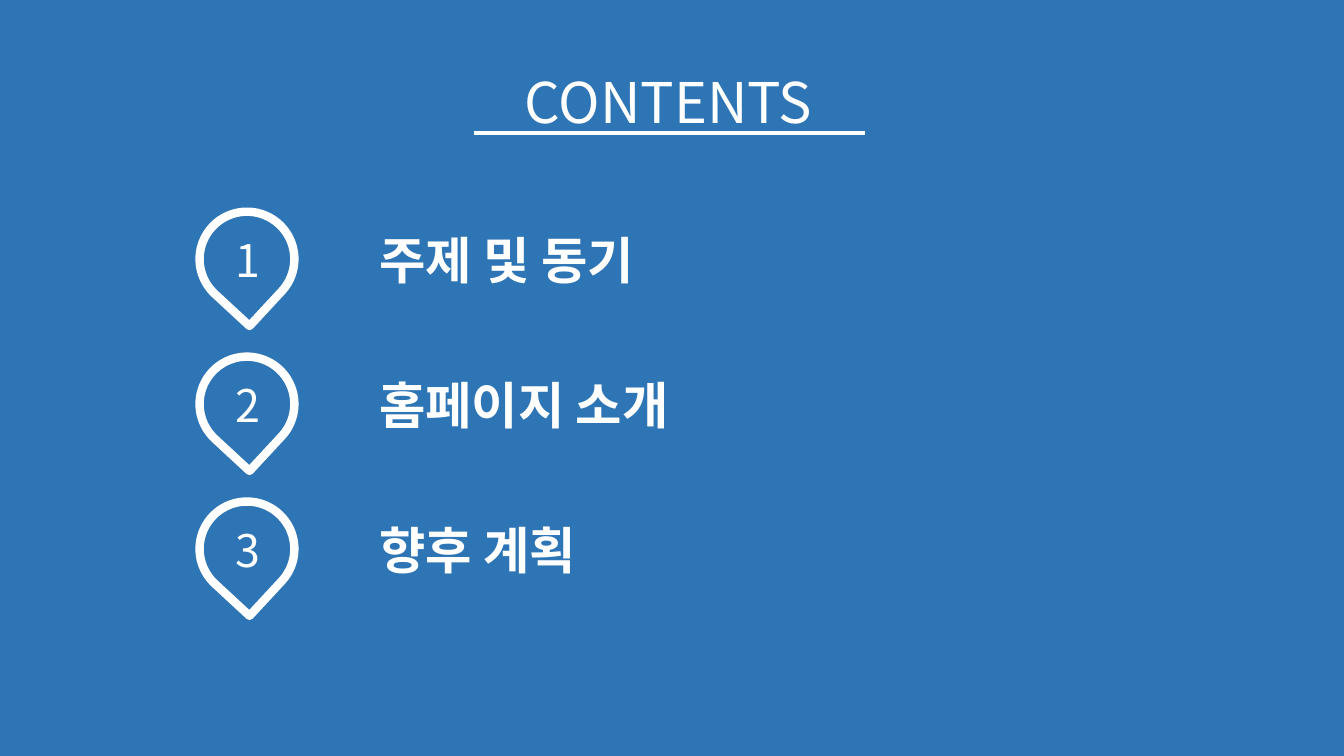
from lxml.etree import SubElement
from pptx import Presentation
from pptx.dml.color import RGBColor
from pptx.enum.shapes import MSO_CONNECTOR as Connector, MSO_SHAPE as Shape
from pptx.enum.text import MSO_ANCHOR as Anchor, MSO_AUTO_SIZE as AutoSize, PP_ALIGN as Align
from pptx.oxml.ns import qn
from pptx.util import Inches, Pt

BLUE = RGBColor(0x2E, 0x75, 0xB6)
WHITE = RGBColor(0xFF, 0xFF, 0xFF)
KOREAN_FONT = "Noto Sans CJK KR"

TOPICS = ["주제 및 동기", "홈페이지 소개", "향후 계획"]
TOPIC_PITCH = 19.17  # rows from one topic to the next


class ContentsSlide:
    """Style and current slide; all lengths are on a grid of 100 columns by 100 rows."""

    title_format = {"size": Pt(40), "name": KOREAN_FONT, "bold": False}
    number_format = {"size": Pt(32), "name": KOREAN_FONT, "bold": False}
    topic_format = {"size": Pt(36), "name": "Arial", "bold": True}
    frame_format = {
        "word_wrap": True, "auto_size": AutoSize.NONE, "vertical_anchor": Anchor.MIDDLE,
        "margin_top": 0, "margin_bottom": 0,
    }

    def __init__(self, deck):
        self.column = deck.slide_width / 100
        self.row = deck.slide_height / 100
        comparison_layout = deck.slide_layouts[4]
        self.slide = deck.slides.add_slide(comparison_layout)
        self.slide.background.fill.solid()
        self.slide.background.fill.fore_color.rgb = BLUE
        self.bodies = [body for body in self.slide.placeholders
                       if body.placeholder_format.idx > 0]

    def box(self, left, top, width, height):
        return (round(left * self.column), round(top * self.row),
                round(width * self.column), round(height * self.row))

    def set_text(self, holder, text, font_format, align):
        frame = holder.text_frame
        for name, value in self.frame_format.items():
            setattr(frame, name, value)
        paragraph = frame.paragraphs[0]
        paragraph.alignment = align
        paragraph.space_before = Pt(0)
        paragraph.line_spacing = 1.0
        run = paragraph.add_run()
        run.text = text
        run.font.color.rgb = WHITE
        for name, value in font_format.items():
            setattr(run.font, name, value)
        east_asian = SubElement(run._r.get_or_add_rPr(), qn("a:ea"))
        east_asian.set("typeface", KOREAN_FONT)
        return paragraph

    def place(self, placeholder, *area):
        (placeholder.left, placeholder.top,
         placeholder.width, placeholder.height) = self.box(*area)

    def title(self, text):
        heading = self.slide.shapes.title
        self.place(heading, 36, 8.27, 27.45, 10.27)
        self.set_text(heading, text, self.title_format, Align.CENTER)

    def underline(self, left, right, height):
        x1, y, x2, _ = self.box(left, height, right, 0)
        rule = self.slide.shapes.add_connector(Connector.STRAIGHT, x1, y, x2, y)
        rule.line.color.rgb = WHITE
        rule.line.width = Pt(3)
        SubElement(rule.element.spPr, qn("a:effectLst"))

    def topic(self, text, offset):
        body = self.bodies.pop(0)
        self.place(body, 27.45, 29.6 + offset, 25.88, 9.47)
        paragraph = self.set_text(body, text, self.topic_format, Align.LEFT)
        properties = paragraph._p.get_or_add_pPr()
        properties.set("marL", "0")
        properties.set("indent", "0")
        SubElement(properties, qn("a:buNone"))

    def numbered_pin(self, number, offset):
        group = self.slide.shapes.add_group_shape()
        pin = group.shapes.add_shape(Shape.TEAR, *self.box(14.85, 28 + offset, 7.05, 12.53))
        pin.rotation = 132.8
        pin.shadow.inherit = False
        pin.fill.solid()
        pin.fill.fore_color.rgb = BLUE
        pin.line.color.rgb = WHITE
        pin.line.width = Pt(6)
        label = group.shapes.add_textbox(*self.box(16.65, 30.13 + offset, 3.53, 8.53))
        self.set_text(label, str(number), self.number_format, Align.CENTER)
        label.text_frame.margin_left = label.text_frame.margin_right = 0

    def remove_empty_bodies(self):
        for body in self.bodies:
            body.element.getparent().remove(body.element)


def main():
    deck = Presentation()
    deck.slide_width, deck.slide_height = Inches(13.33), Inches(7.5)
    contents = ContentsSlide(deck)
    contents.title("CONTENTS")
    contents.underline(35.25, 64.35, 17.6)
    for index, topic in enumerate(TOPICS):
        offset = index * TOPIC_PITCH
        contents.numbered_pin(index + 1, offset)
        contents.topic(topic, offset)
    contents.remove_empty_bodies()
    deck.save("out.pptx")


if __name__ == "__main__":
    main()
